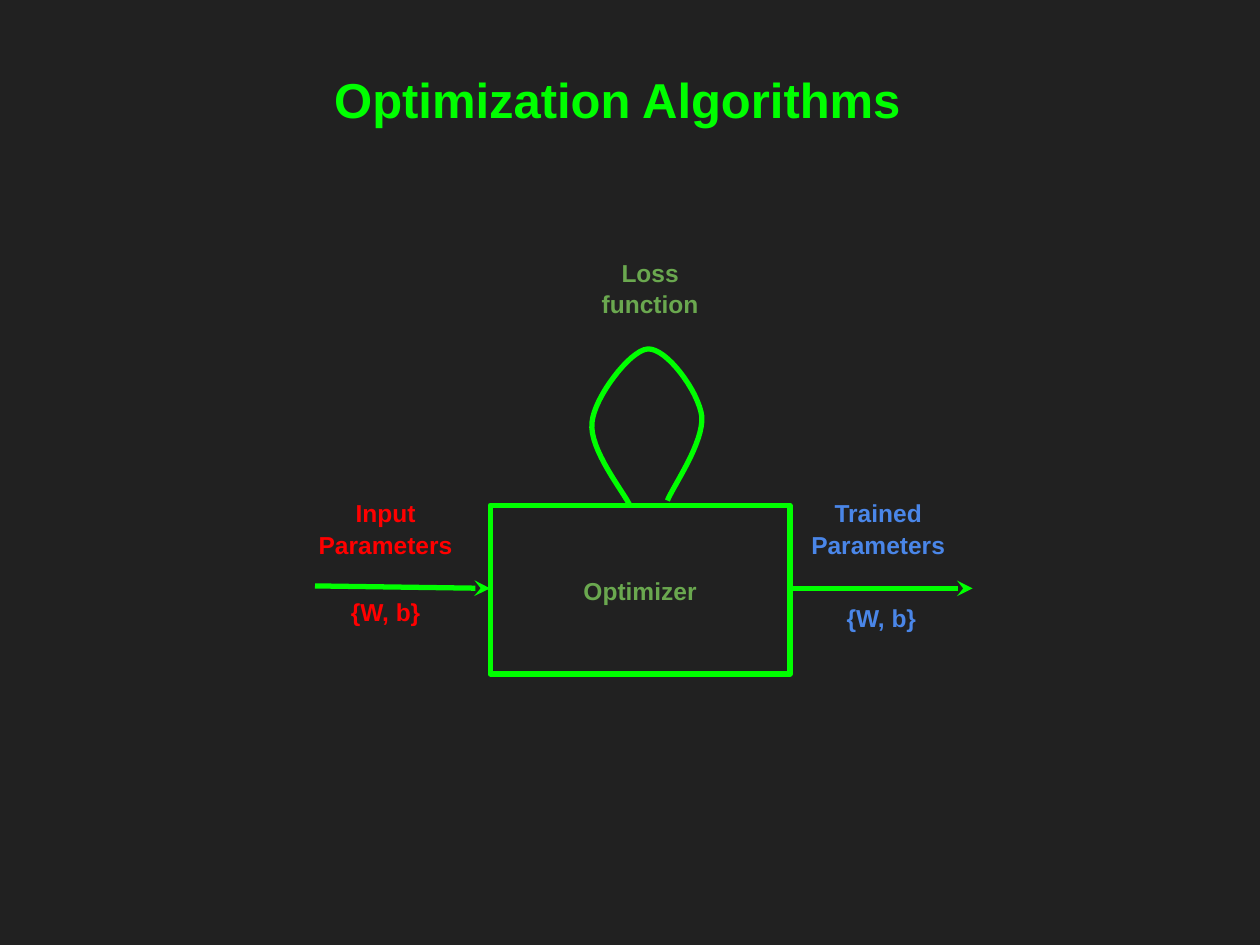
from dataclasses import dataclass

from lxml import etree
from pptx import Presentation
from pptx.dml.color import RGBColor
from pptx.enum.shapes import MSO_CONNECTOR, MSO_SHAPE
from pptx.enum.text import MSO_ANCHOR, PP_ALIGN
from pptx.oxml.ns import qn
from pptx.util import Inches, Pt

RECTANGLE = MSO_SHAPE.RECTANGLE
STRAIGHT = MSO_CONNECTOR.STRAIGHT
TOP, MIDDLE = MSO_ANCHOR.TOP, MSO_ANCHOR.MIDDLE
CENTER = PP_ALIGN.CENTER


@dataclass(frozen=True)
class Theme:
    background: str = "212121"
    accent: str = "00FF00"
    process: str = "6AA84F"
    source: str = "FF0000"
    result: str = "4A86E8"
    font: str = "Arial"
    title_size: int = 28
    label_size: int = 14
    line_width: int = 3
    line_spacing: float = 1.07


THEME = Theme()


def color(value):
    return RGBColor.from_string(value)


def write(shape, text, *, ink, size=THEME.label_size, anchor=TOP):
    """Fill a shape with centred bold text, one paragraph per line."""
    frame = shape.text_frame
    frame.word_wrap = True
    frame.vertical_anchor = anchor
    frame.margin_left = frame.margin_right = Inches(0.1)
    frame.margin_top = frame.margin_bottom = Inches(0.1)
    for index, line in enumerate(text.split("\n")):
        para = frame.add_paragraph() if index else frame.paragraphs[0]
        para.alignment = CENTER
        para.line_spacing = THEME.line_spacing
        para.space_before = Pt(0)
        span = para.add_run()
        span.text = line
        span.font.name = THEME.font
        span.font.size = Pt(size)
        span.font.bold = True
        span.font.color.rgb = color(ink)


def outline(shape):
    shape.line.color.rgb = color(THEME.accent)
    shape.line.width = Pt(THEME.line_width)


def add_label(page, box, text, ink):
    write(page.shapes.add_textbox(*map(Inches, box)), text, ink=ink)


def add_arrow(page, start, end):
    arrow = page.shapes.add_connector(STRAIGHT, *map(Inches, start + end))
    outline(arrow)
    etree.SubElement(arrow.line._get_or_add_ln(), qn("a:tailEnd"), type="stealth")
    etree.SubElement(arrow._element.spPr, qn("a:effectLst"))


def curve_points(start, curves, steps=16):
    """Yield points along a chain of cubic Bézier curves."""
    for first, second, end in curves:
        for step in range(1, steps + 1):
            t = step / steps
            weights = (1 - t) ** 3, 3 * t * (1 - t) ** 2, 3 * t**2 * (1 - t), t**3
            yield tuple(
                Inches(sum(w * value for w, value in zip(weights, axis)))
                for axis in zip(start, first, second, end)
            )
        start = end


def add_title(page, box):
    title = page.shapes.title
    title.left, title.top, title.width, title.height = map(Inches, box)
    write(title, "Optimization Algorithms", ink=THEME.accent, size=THEME.title_size)


def add_optimizer(page, box):
    block = page.shapes.add_shape(RECTANGLE, *map(Inches, box))
    block.shadow.inherit = False
    block.fill.background()
    outline(block)
    write(block, "Optimizer", ink=THEME.process, anchor=MIDDLE)


def add_loss_loop(page, box):
    """Draw the feedback loop, with its label above it."""
    left, top, width, height = box

    def place(x, y):
        return left + x * width, top + y * height

    # Loop outline in fractions of the box
    start = place(0.35, 1)
    curves = [
        (place(0.3, 0.92), place(-0.02, 0.64), place(0.01, 0.47)),
        (place(0.03, 0.31), place(0.35, 0.01), place(0.51, 0)),
        (place(0.68, -0.01), place(0.97, 0.27), place(1, 0.43)),
        (place(1.02, 0.6), place(0.74, 0.88), place(0.69, 0.97)),
    ]
    builder = page.shapes.build_freeform(*map(Inches, start))
    builder.add_line_segments(curve_points(start, curves), close=False)
    loop = builder.convert_to_shape()
    loop.shadow.inherit = False
    loop.fill.background()
    outline(loop)

    add_label(page, (left - 0.17, top - 0.84, 1.28, 0.48), "Loss\nfunction", THEME.process)


def add_flow(page, start, end, name_box, value_box, name, ink):
    """Draw an arrow with its name above and its values below."""
    add_arrow(page, start, end)
    add_label(page, name_box, name, ink)
    add_label(page, value_box, "{W, b}", ink)


def main():
    deck = Presentation()
    deck.slide_width, deck.slide_height = Inches(10), Inches(7.5)
    page = deck.slides.add_slide(deck.slide_layouts[5])
    page.background.fill.solid()
    page.background.fill.fore_color.rgb = color(THEME.background)

    left, top, width, height = block = (3.89, 4.01, 2.38, 1.34)
    right, center = left + width, top + height / 2 - 0.01

    add_title(page, (0.24, 0.42, 9.32, 1.16))
    add_optimizer(page, block)
    add_flow(page, (2.5, center - 0.02), (left, center),
             (2.42, 3.84, 1.28, 0.48), (2.42, 4.62, 1.28, 0.48),
             "Input\nParameters", THEME.source)
    add_flow(page, (right, center), (7.72, center),
             (6.33, 3.84, 1.28, 0.48), (6.53, 4.67, 0.93, 0.57),
             "Trained\nParameters", THEME.result)
    add_loss_loop(page, (4.69, 2.77, 0.88, 1.24))
    deck.save("out.pptx")


if __name__ == "__main__":
    main()
